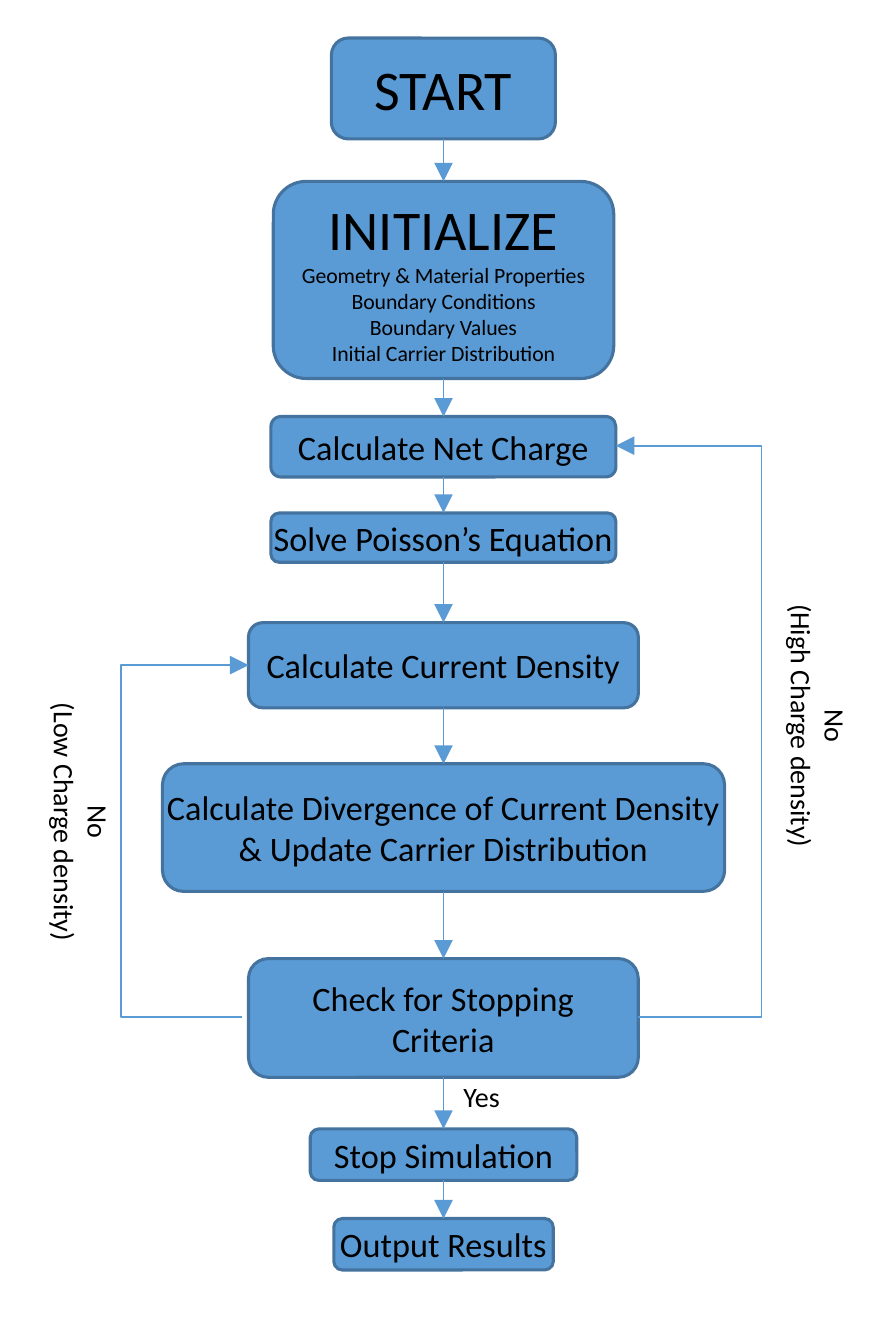
from dataclasses import dataclass
from itertools import pairwise

from lxml.etree import SubElement as Sub
from pptx import Presentation
from pptx.dml.color import RGBColor as RGB
from pptx.enum.shapes import MSO_CONNECTOR as Wire, MSO_SHAPE as Shape
from pptx.enum.text import MSO_ANCHOR as Anchor, PP_ALIGN as Align
from pptx.oxml.ns import qn
from pptx.util import Inches, Pt


@dataclass(frozen=True)
class Theme:
    font: str = "Calibri"
    fill: RGB = RGB.from_string("5B9BD5")
    edge: RGB = RGB.from_string("43739E")
    ink: RGB = RGB.from_string("000000")
    title: int = 18
    step: int = 11
    label: int = 9
    detail: int = 7
    border: float = 1
    wire: float = 0.5


THEME = Theme()
COLS, ROWS = 40, 60
AXIS = 19.8  # column on which all steps are centred

# top row, width, height, size of first line, size of the rest, text
STEPS = [
    (1.7, 10, 4.5, THEME.title, THEME.title, "START"),
    (8.1, 15.2, 8.8, THEME.title, THEME.detail,
     "INITIALIZE\nGeometry & Material Properties\nBoundary Conditions\n"
     "Boundary Values\nInitial Carrier Distribution"),
    (18.6, 15.4, 2.7, THEME.step, THEME.step, "Calculate Net Charge"),
    (22.9, 15.4, 2.2, THEME.step, THEME.step, "Solve Poisson’s Equation"),
    (27.8, 17.4, 3.8, THEME.step, THEME.step, "Calculate Current Density"),
    (34.1, 25.1, 5.7, THEME.step, THEME.step,
     "Calculate Divergence of Current Density\n& Update Carrier Distribution"),
    (42.8, 17.4, 5.3, THEME.step, THEME.step, "Check for Stopping Criteria"),
    (50.4, 11.9, 2.3, THEME.step, THEME.step, "Stop Simulation"),
    (54.4, 9.8, 2.3, THEME.step, THEME.step, "Output Results"),
]
CHECK = 6


def cell(count):
    """Length of a number of grid cells; columns and rows are equal."""
    return Inches(count / 10)


def write(frame, text, sizes, align):
    """Fill a frame; sizes are for its first line and for the others."""
    frame.text = text
    for i, para in enumerate(frame.paragraphs):
        para.alignment = align
        for run in para.runs:
            run.font.name = THEME.font
            run.font.size = Pt(sizes[min(i, 1)])
            run.font.color.rgb = THEME.ink


def add_step(slide, top, width, height, first, rest, text, wrap):
    box = slide.shapes.add_shape(
        Shape.ROUNDED_RECTANGLE, cell(AXIS - width / 2), cell(top),
        cell(width), cell(height))
    box.shadow.inherit = False
    box.fill.solid()
    box.fill.fore_color.rgb = THEME.fill
    box.line.color.rgb = THEME.edge
    box.line.width = Pt(THEME.border)
    frame = box.text_frame
    frame.word_wrap = wrap
    frame.vertical_anchor = Anchor.MIDDLE
    frame.margin_left = frame.margin_right = Inches(0.05)
    frame.margin_top = frame.margin_bottom = 0
    write(frame, text, (first, rest), Align.CENTER)
    return box


def add_label(slide, left, top, width, height, text, align, turn=0):
    box = slide.shapes.add_textbox(*map(cell, (left, top, width, height)))
    box.rotation = turn
    box.text_frame.word_wrap = True
    write(box.text_frame, text, (THEME.label, THEME.label), align)


def add_arrow(slide, kind, start, end):
    wire = slide.shapes.add_connector(kind, *map(cell, (*start, *end)))
    wire.line.color.rgb = THEME.fill
    wire.line.width = Pt(THEME.wire)
    props = wire._element.spPr
    Sub(props.find(qn("a:ln")), qn("a:tailEnd"), type="triangle")
    Sub(props, qn("a:effectLst"))
    return wire


def add_link(slide, upper, lower):
    wire = add_arrow(slide, Wire.STRAIGHT, (0, 0), (0, 0))
    wire.begin_connect(upper, 2)
    wire.end_connect(lower, 0)


def add_loop(slide, start, end, bend):
    """Bent arrow whose upright part runs along the column bend."""
    wire = add_arrow(slide, Wire.ELBOW, start, end)
    ratio = (bend - start[0]) / (end[0] - start[0])
    guides = wire._element.spPr.find(qn("a:prstGeom")).get_or_add_avLst()
    Sub(guides, qn("a:gd"), name="adj1", fmla=f"val {round(ratio * 100000)}")


def main():
    deck = Presentation()
    deck.slide_width, deck.slide_height = cell(COLS), cell(ROWS)
    slide = deck.slides.add_slide(deck.slide_layouts[6])

    boxes = [add_step(slide, *step, wrap=i == CHECK)
             for i, step in enumerate(STEPS)]
    for upper, lower in pairwise(boxes):
        add_link(slide, upper, lower)

    add_loop(slide, (28.5, 45.4), (27.5, 19.9), 34)
    add_loop(slide, (10.8, 45.4), (11.1, 29.7), 5.4)

    add_label(slide, 19.7, 47.7, 4.3, 2.5, "Yes", Align.LEFT)
    for left, top, level in ((27.9, 30.4, "High"), (-5, 34.7, "Low")):
        add_label(slide, left, top, 17.3, 4, f"No\n({level} Charge density)",
                  Align.CENTER, turn=90)

    deck.save("out.pptx")


if __name__ == "__main__":
    main()
